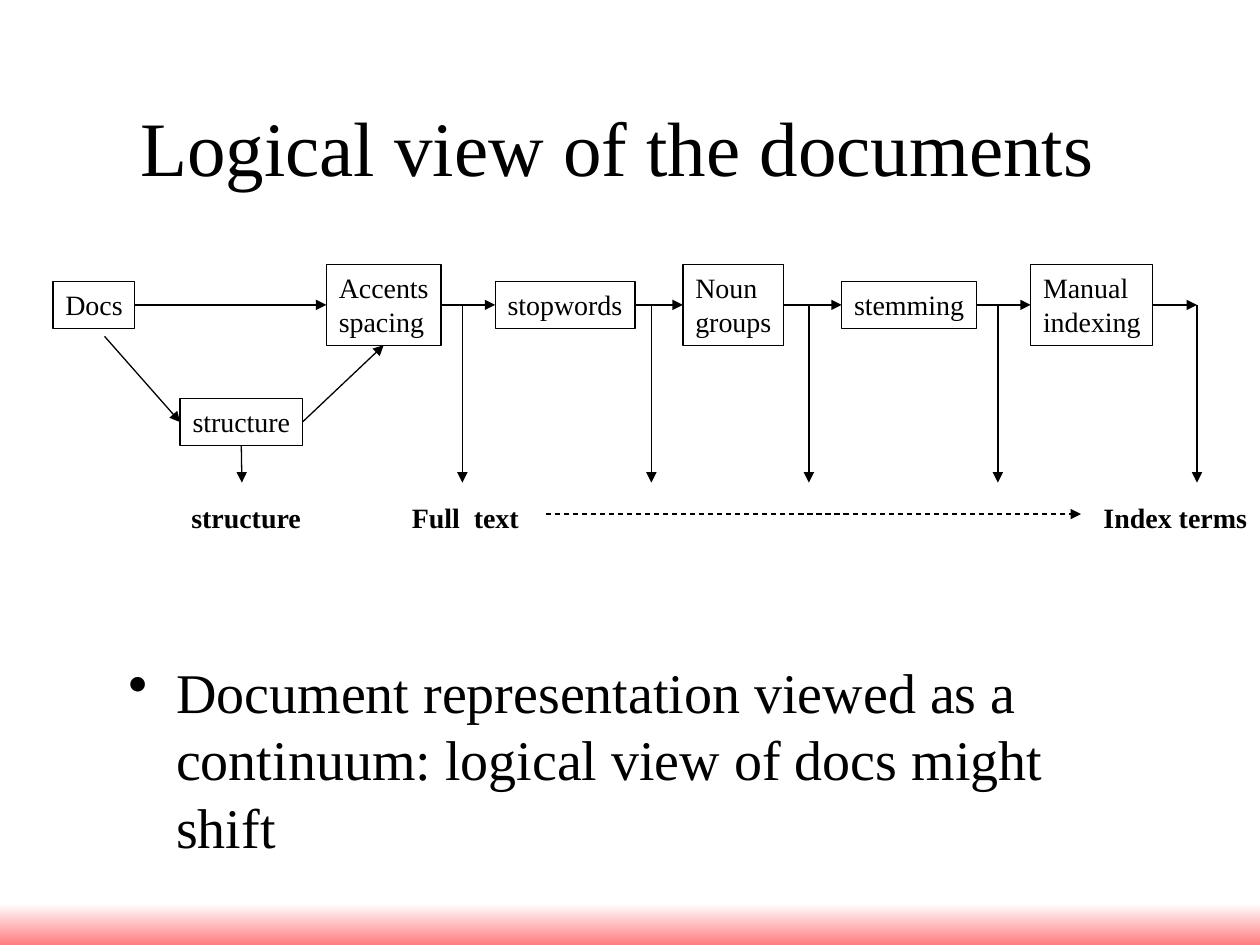
from lxml.etree import SubElement
from pptx import Presentation
from pptx.dml.color import RGBColor
from pptx.enum.dml import MSO_LINE
from pptx.enum.shapes import MSO_CONNECTOR, MSO_SHAPE
from pptx.enum.text import MSO_ANCHOR, PP_ALIGN
from pptx.oxml.ns import qn
from pptx.util import Inches, Pt

FONT = "Times New Roman"
BLACK = "000000"
TOP, LEFT, BOTTOM, RIGHT = range(4)


def rgb(value):
    return RGBColor.from_string(value)


def write(tf, lines, size, bold=False, align=PP_ALIGN.LEFT):
    for i, line in enumerate(lines):
        p = tf.paragraphs[0] if i == 0 else tf.add_paragraph()
        p.alignment = align
        r = p.add_run()
        r.text = line
        r.font.name, r.font.size, r.font.bold = FONT, Pt(size), bold
        r.font.color.rgb = rgb(BLACK)


def add_step(s, x, middle, width, *lines):
    """Outlined box centred vertically on middle."""
    height = 0.1 + 0.27 * len(lines)
    sp = s.shapes.add_shape(MSO_SHAPE.RECTANGLE, Inches(x), Inches(middle - height / 2),
                            Inches(width), Inches(height))
    sp.shadow.inherit = False
    sp.fill.background()
    sp.line.color.rgb = rgb(BLACK)
    sp.line.width = Pt(0.75)
    tf = sp.text_frame
    tf.word_wrap = False
    tf.vertical_anchor = MSO_ANCHOR.TOP
    write(tf, lines, 16)
    return sp


def add_arrow(s, start, end, dashed=False):
    """Each end is an (x, y) point or a (shape, side) pair to join."""
    joined = [not isinstance(e[0], (int, float)) for e in (start, end)]
    (x1, y1), (x2, y2) = [(0, 0) if j else e for j, e in zip(joined, (start, end))]
    line = s.shapes.add_connector(MSO_CONNECTOR.STRAIGHT, Inches(x1), Inches(y1),
                                  Inches(x2), Inches(y2))
    if joined[0]:
        line.begin_connect(*start)
    if joined[1]:
        line.end_connect(*end)
    line.line.color.rgb = rgb(BLACK)
    line.line.width = Pt(0.75)
    if dashed:
        line.line.dash_style = MSO_LINE.DASH
    SubElement(line.line._get_or_add_ln(), qn("a:tailEnd"), type="triangle")
    SubElement(line._element.spPr, qn("a:effectLst"))


def add_title(s, x, y, w, h):
    title = s.shapes.title
    title.left, title.top, title.width, title.height = map(Inches, (x, y, w, h))
    title.text_frame.vertical_anchor = MSO_ANCHOR.MIDDLE
    write(title.text_frame, ["Logical view of the documents"], 44, align=PP_ALIGN.CENTER)


def add_pipeline(s, x, y, w, h):
    """Processing steps in a row, with arrows down to the views they yield."""
    middle, bottom = y + 0.34, y + h
    steps = [add_step(s, x + dx, middle, width, *lines) for dx, width, *lines in [
        (0, 0.65, "Docs"),
        (2.17, 0.91, "Accents", "spacing"),
        (3.51, 1.11, "stopwords"),
        (5, 0.8, "Noun", "groups"),
        (6.26, 1.07, "stemming"),
        (7.76, 0.97, "Manual", "indexing"),
    ]]
    structure = add_step(s, x + 1.01, y + 1.27, 0.97, "structure")

    for before, after in zip(steps, steps[1:]):
        add_arrow(s, (before, RIGHT), (after, LEFT))
    add_arrow(s, (steps[-1], RIGHT), (x + w, middle))

    add_arrow(s, (x + 0.41, middle + 0.25), (structure, LEFT))
    add_arrow(s, (structure, RIGHT), (steps[1], BOTTOM))
    add_arrow(s, (structure, BOTTOM), (x + 1.5, bottom))
    for dx in (3.25, 4.75, 6, 7.5, w):
        add_arrow(s, (x + dx, middle), (x + dx, bottom))


def add_views(s, x, y, w, h):
    """Bold labels under the arrows, from full text to index terms."""
    for dx, width, label in [(0, 1.07, "structure"), (1.75, 1.18, "Full  text"),
                             (w - 1.34, 1.34, "Index terms")]:
        box = s.shapes.add_textbox(Inches(x + dx), Inches(y), Inches(width), Inches(h))
        box.text_frame.word_wrap = False
        write(box.text_frame, [label], 16, bold=True)
    add_arrow(s, (x + 2.91, y + 0.16), (x + w - 1.42, y + 0.16), dashed=True)


def add_remark(s, x, y, w, h):
    box = s.shapes.add_textbox(Inches(x), Inches(y), Inches(w), Inches(h))
    tf = box.text_frame
    tf.word_wrap = True
    write(tf, ["Document representation viewed as a continuum: "
               "logical view of docs might shift"], 32)
    pPr = tf.paragraphs[0]._p.get_or_add_pPr()
    pPr.set("marL", str(Inches(0.38)))
    pPr.set("indent", str(-Inches(0.38)))
    SubElement(pPr, qn("a:buChar"), char="•")


def add_band(s, x, y, w, h):
    band = s.shapes.add_shape(MSO_SHAPE.RECTANGLE, Inches(x), Inches(y), Inches(w), Inches(h))
    band.shadow.inherit = False
    band.line.fill.background()
    band.fill.gradient()
    band.fill.gradient_angle = 270
    for stop, position, color in zip(band.fill.gradient_stops, (0, 1), ("FFFFFF", "FF7C80")):
        stop.position = position
        stop.color.rgb = rgb(color)


def main():
    prs = Presentation()
    prs.slide_width, prs.slide_height = Inches(10), Inches(7.5)
    s = prs.slides.add_slide(prs.slide_layouts[5])
    add_band(s, 0, 7.17, 10, 0.33)
    add_title(s, 0.79, 0.78, 8.22, 0.75)
    add_remark(s, 0.92, 5.17, 8.17, 1.7)
    add_pipeline(s, 0.42, 2.08, 9.08, 1.75)
    add_views(s, 1.42, 3.92, 8.58, 0.37)
    prs.save("out.pptx")


if __name__ == "__main__":
    main()
